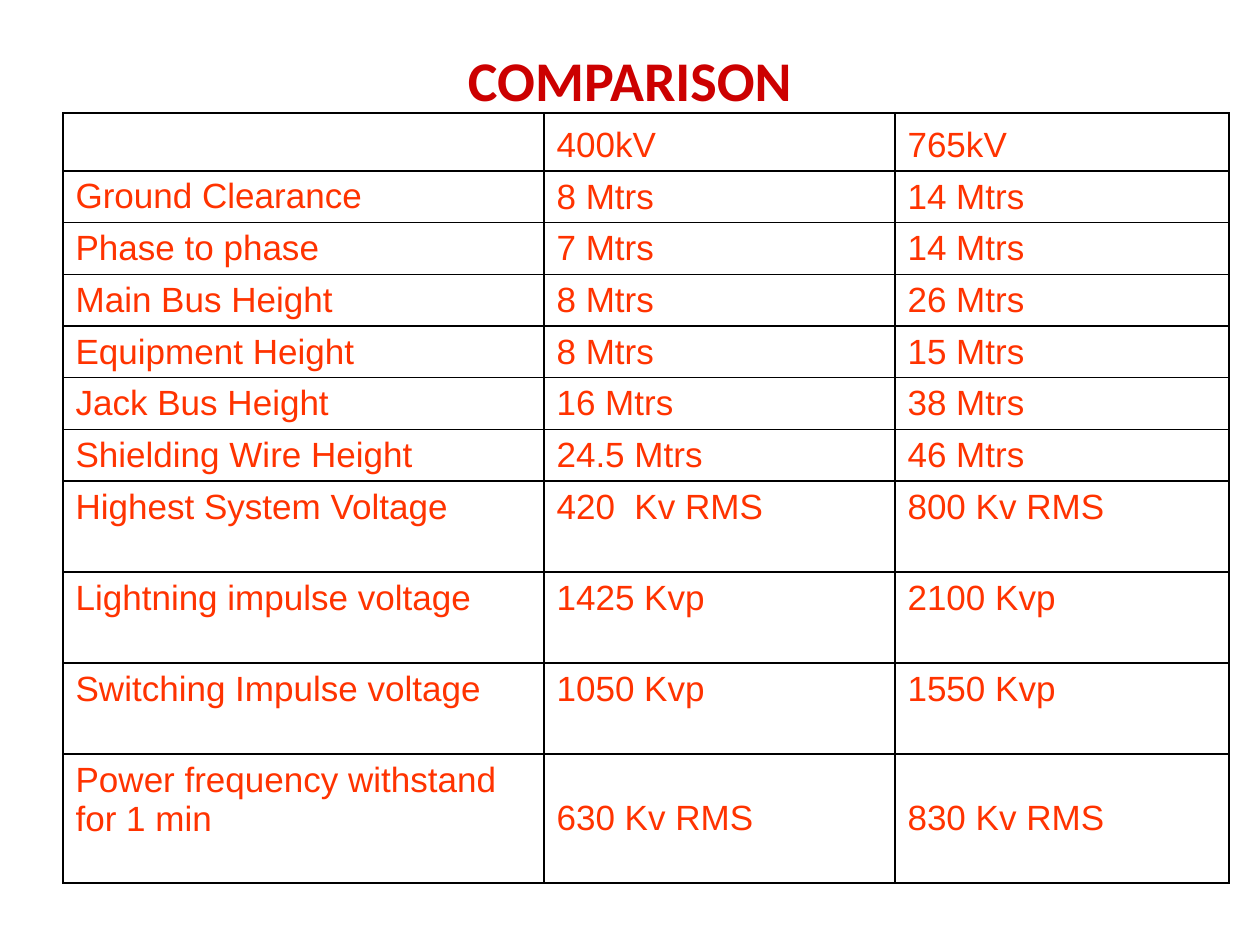
import dataclasses
import typing

import lxml.etree
import pptx
import pptx.dml.color
import pptx.enum.text
import pptx.oxml.ns
import pptx.util

Anchor = pptx.enum.text.MSO_ANCHOR
Align = pptx.enum.text.PP_ALIGN
Color = pptx.dml.color.RGBColor


@dataclasses.dataclass(frozen=True)
class Theme:
    title: Color = Color(0xCC, 0x00, 0x00)
    body: Color = Color(0xFF, 0x33, 0x00)
    rule: Color = Color(0x00, 0x00, 0x00)
    head_font: str = "Calibri"
    body_font: str = "Arial"
    head_size: int = 32
    body_size: int = 20
    rule_size: int = 1


@dataclasses.dataclass(frozen=True)
class Row:
    label: str
    low: str
    high: str
    height: int = 51
    anchor: Anchor = Anchor.BOTTOM


THEME = Theme()
SCALE = 914400 / 126  # EMU per px
TALL = 91
COLS = (481, 351, 334)
ROWS = (
    Row("", "400kV", "765kV", 58),
    Row("Ground Clearance", "8 Mtrs", "14 Mtrs"),
    Row("Phase to phase", "7 Mtrs", "14 Mtrs"),
    Row("Main Bus Height", "8 Mtrs", "26 Mtrs"),
    Row("Equipment Height", "8 Mtrs", "15 Mtrs"),
    Row("Jack Bus Height", "16 Mtrs", "38 Mtrs"),
    Row("Shielding Wire Height", "24.5 Mtrs", "46 Mtrs"),
    Row("Highest System Voltage", "420  Kv RMS", "800 Kv RMS", TALL, Anchor.TOP),
    Row("Lightning impulse voltage", "1425 Kvp", "2100 Kvp", TALL, Anchor.TOP),
    Row("Switching Impulse voltage", "1050 Kvp", "1550 Kvp", TALL, Anchor.TOP),
    Row("Power frequency withstand for 1 min", "630 Kv RMS", "830 Kv RMS",
        129, Anchor.MIDDLE),
)


def px(size: int) -> pptx.util.Emu:
    return pptx.util.Emu(round(size * SCALE))


def style(frame: typing.Any, name: str, size: int, color: Color, bold: bool) -> None:
    for par in frame.paragraphs:
        for run in par.runs:
            run.font.name = name
            run.font.size = pptx.util.Pt(size)
            run.font.color.rgb = color
            run.font.bold = bold


def border(cell: typing.Any) -> None:
    props = cell._tc.get_or_add_tcPr()
    qn = pptx.oxml.ns.qn
    for spot, side in enumerate(("a:lnL", "a:lnR", "a:lnT", "a:lnB")):
        line = lxml.etree.Element(qn(side), w=str(pptx.util.Pt(THEME.rule_size)))
        fill = lxml.etree.SubElement(line, qn("a:solidFill"))
        lxml.etree.SubElement(fill, qn("a:srgbClr"), val=str(THEME.rule))
        props.insert(spot, line)


def fill_cell(cell: typing.Any, text: str, anchor: Anchor) -> None:
    cell.fill.background()
    cell.vertical_anchor = anchor
    cell.text_frame.text = text
    style(cell.text_frame, THEME.body_font, THEME.body_size, THEME.body, False)
    border(cell)


def add_title(slide: typing.Any, text: str) -> None:
    title = slide.shapes.title
    title.left, title.top = px(63), px(0)
    title.width, title.height = px(1134), px(158)
    frame = title.text_frame
    frame.text = text
    frame.vertical_anchor = Anchor.MIDDLE
    frame.paragraphs[0].alignment = Align.CENTER
    style(frame, THEME.head_font, THEME.head_size, THEME.title, True)


def add_grid(slide: typing.Any, rows: typing.Sequence[Row]) -> None:
    height = sum(row.height for row in rows)
    table = slide.shapes.add_table(
        len(rows), len(COLS), px(63), px(113), px(sum(COLS)), px(height)).table
    table.first_row = table.horz_banding = False
    for col, width in zip(table.columns, COLS):
        col.width = px(width)
    for line, row in zip(table.rows, rows):
        line.height = px(row.height)
        label, low, high = line.cells
        fill_cell(label, row.label, Anchor.TOP)
        fill_cell(low, row.low, row.anchor)
        fill_cell(high, row.high, row.anchor)


def main() -> None:
    deck = pptx.Presentation()
    deck.slide_width, deck.slide_height = px(1260), px(945)
    slide = deck.slides.add_slide(deck.slide_layouts[5])

    # Heading
    add_title(slide, "COMPARISON")

    # Figures for the two voltage levels
    add_grid(slide, ROWS)

    deck.save("out.pptx")


if __name__ == "__main__":
    main()
